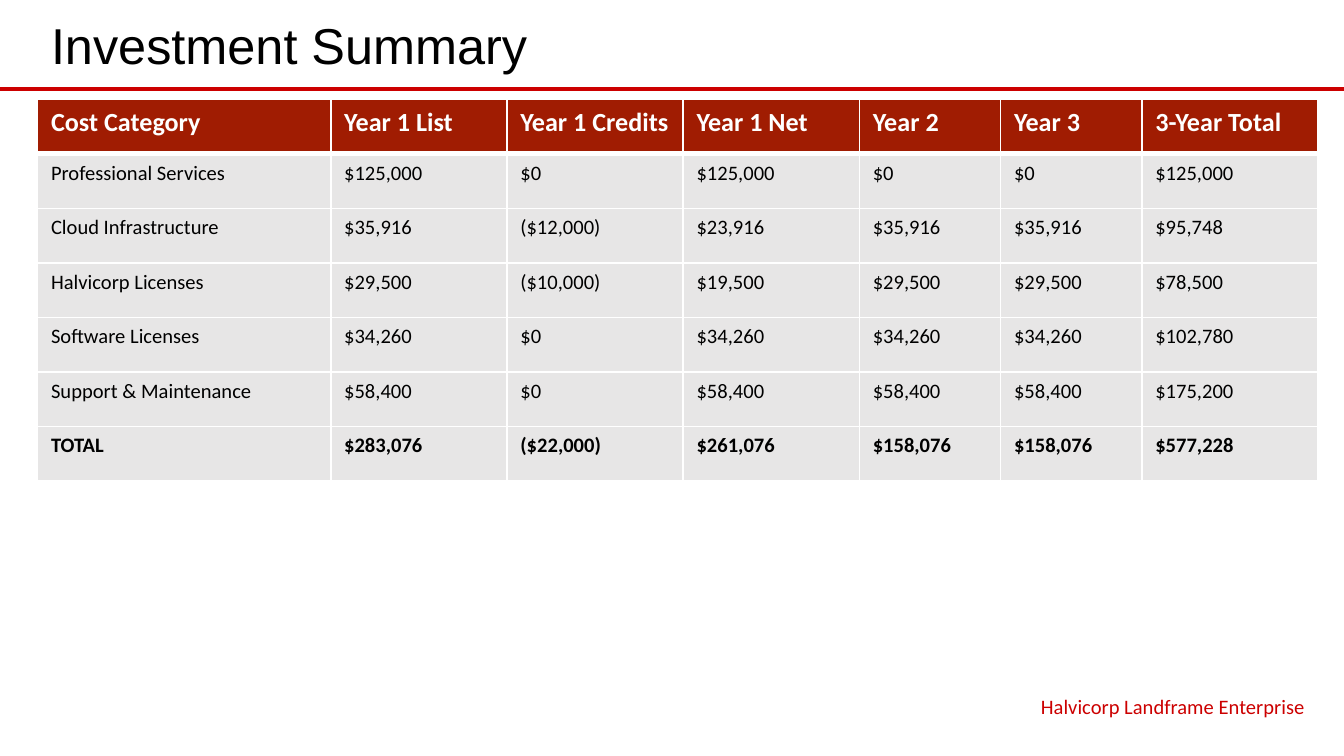
from lxml.etree import SubElement
from pptx import Presentation
from pptx.dml.color import RGBColor
from pptx.enum.shapes import MSO_CONNECTOR
from pptx.enum.text import MSO_ANCHOR, MSO_AUTO_SIZE, PP_ALIGN
from pptx.oxml.ns import qn
from pptx.util import Cm, Pt

TITLE = "Investment Summary"
FOOTER = "Halvicorp Landframe Enterprise"
ROWS = [
    ("Cost Category", "Year 1 List", "Year 1 Credits", "Year 1 Net",
     "Year 2", "Year 3", "3-Year Total"),
    ("Professional Services", "$125,000", "$0", "$125,000",
     "$0", "$0", "$125,000"),
    ("Cloud Infrastructure", "$35,916", "($12,000)", "$23,916",
     "$35,916", "$35,916", "$95,748"),
    ("Halvicorp Licenses", "$29,500", "($10,000)", "$19,500",
     "$29,500", "$29,500", "$78,500"),
    ("Software Licenses", "$34,260", "$0", "$34,260",
     "$34,260", "$34,260", "$102,780"),
    ("Support & Maintenance", "$58,400", "$0", "$58,400",
     "$58,400", "$58,400", "$175,200"),
    ("TOTAL", "$283,076", "($22,000)", "$261,076",
     "$158,076", "$158,076", "$577,228"),
]
WIDTHS = [5.54, 3.33, 3.33, 3.33, 2.67, 2.67, 3.33]
ROW_H = 1.03
LEFT, WIDE = 0.71, sum(WIDTHS)
RED = "CC0000"

HEAD = {"name": "Calibri", "size": Pt(14), "bold": True, "color": "FFFFFF"}
BODY = {"name": "Calibri", "size": Pt(11), "bold": False, "color": "000000"}
TOTAL = {**BODY, "bold": True}


def rgb(code):
    return RGBColor.from_string(code)


def style(font, values):
    for key, value in values.items():
        if key == "color":
            font.color.rgb = rgb(value)
        else:
            setattr(font, key, value)


def write(shape, text, box, align, values):
    shape.left, shape.top, shape.width, shape.height = map(Cm, box)
    frame = shape.text_frame
    frame.text = text
    frame.word_wrap = True
    frame.auto_size = MSO_AUTO_SIZE.NONE
    frame.vertical_anchor = MSO_ANCHOR.MIDDLE
    frame.paragraphs[0].alignment = align
    style(frame.paragraphs[0].font, values)


def edge(cell, low):
    """Draw white cell borders; low is the width of the bottom one in points."""
    props = cell._tc.get_or_add_tcPr()
    for tag, size in (("a:lnL", 1), ("a:lnR", 1), ("a:lnT", 1), ("a:lnB", low)):
        line = SubElement(props, qn(tag), w=str(Pt(size)))
        fill = SubElement(line, qn("a:solidFill"))
        SubElement(fill, qn("a:srgbClr"), val="FFFFFF")


def add_costs(slide):
    table = slide.shapes.add_table(
        len(ROWS), len(WIDTHS), Cm(LEFT), Cm(1.88), Cm(WIDE),
        Cm(ROW_H * len(ROWS))).table
    for col, width in zip(table.columns, WIDTHS):
        col.width = Cm(width)
    for r, row in enumerate(ROWS):
        table.rows[r].height = Cm(ROW_H)
        look = HEAD if r == 0 else TOTAL if row[0] == "TOTAL" else BODY
        for c, text in enumerate(row):
            cell = table.cell(r, c)
            cell.text = text
            style(cell.text_frame.paragraphs[0].font, look)
            edge(cell, 3 if r == 0 else 1)
            cell.fill.solid()
            cell.fill.fore_color.rgb = rgb("A01C02" if r == 0 else "E7E6E6")
            if r == 1:
                top = cell._tc.tcPr.find(qn("a:lnT"))
                top.set("w", str(Pt(3)))


def main():
    deck = Presentation()
    deck.slide_width, deck.slide_height = Cm(25.4), Cm(14.29)
    slide = deck.slides.add_slide(deck.slide_layouts[5])

    rule = slide.shapes.add_connector(
        MSO_CONNECTOR.STRAIGHT, 0, Cm(1.68), deck.slide_width, Cm(1.68))
    rule.line.color.rgb = rgb(RED)
    rule.line.width = Pt(2.25)
    SubElement(rule._element.spPr, qn("a:effectLst"))

    write(slide.shapes.title, TITLE, (LEFT, 0.1, WIDE, 1.47), PP_ALIGN.LEFT,
          {"name": "Arial", "size": Pt(27), "color": "000000"})
    add_costs(slide)
    note = slide.shapes.add_textbox(0, 0, 0, 0)
    write(note, FOOTER, (15.97, 13.02, 8.94, 0.66), PP_ALIGN.RIGHT,
          {**BODY, "color": RED})
    deck.save("out.pptx")


if __name__ == "__main__":
    main()
